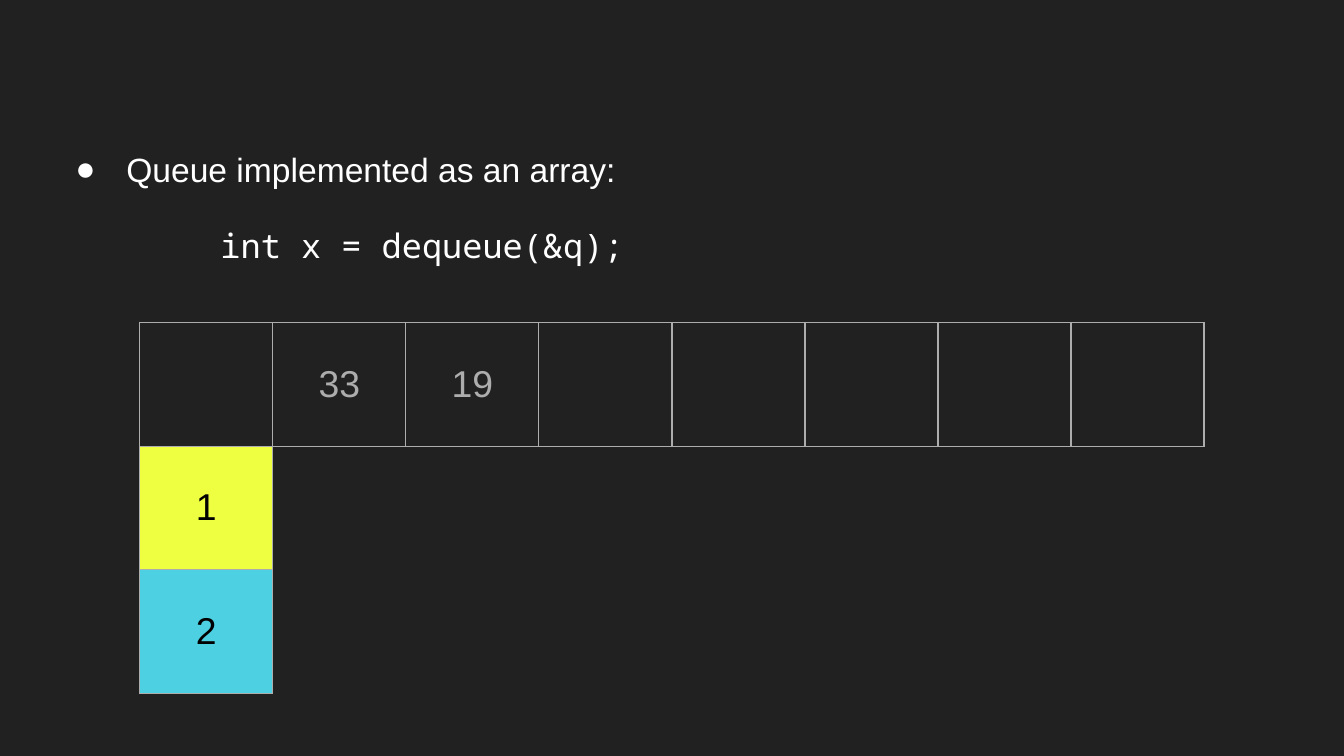
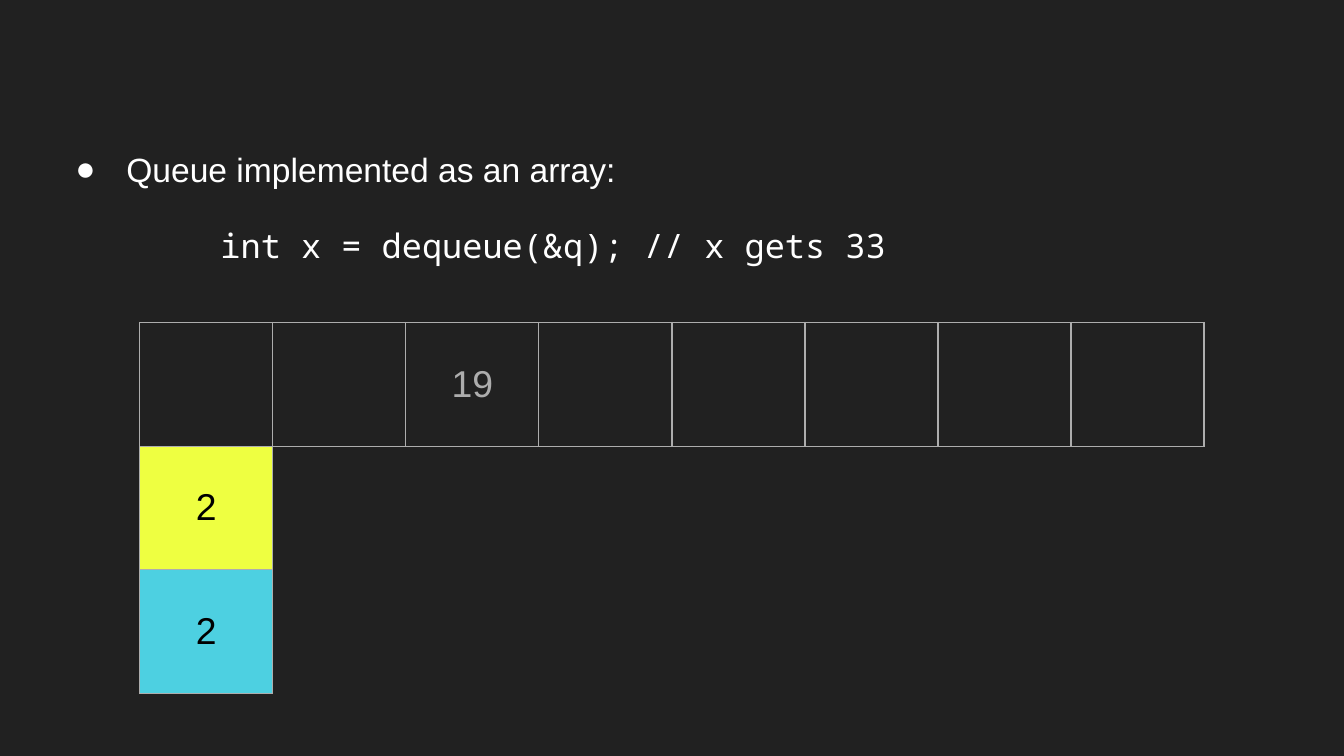
import pptx
import pptx.dml.color
import pptx.enum.text
import pptx.oxml.ns
import pptx.util
from lxml import etree

Inches, Pt = pptx.util.Inches, pptx.util.Pt

BACKGROUND, TEXT, GRID = "212121", "FFFFFF", "ADADAD"
FRONT_FILL, SIZE_FILL, COUNTER_TEXT = "EEFF41", "4DD0E1", "000000"
BODY_FONT, CODE_FONT = "Arial", "Noto Sans Mono"
HEADING = "Queue implemented as an array:"
CAPACITY = 8
STEPS = [
    {"code": "        int x = dequeue(&q);",
     "queue": {1: "33", 2: "19"}, "front": "1", "size": "2"},
    {"code": "        int x = dequeue(&q); // x gets 33",
     "queue": {2: "19"}, "front": "2", "size": "2"},
]


def rgb(value):
    return pptx.dml.color.RGBColor.from_string(value)


def add_xml(parent, tag, **attributes):
    return etree.SubElement(parent, pptx.oxml.ns.qn(tag), attributes)


def add_run(paragraph, text, font_name, size, color):
    run = paragraph.add_run()
    run.text = text
    run.font.name, run.font.size = font_name, Pt(size)
    run.font.color.rgb = rgb(color)


def set_margins(holder):
    holder.margin_left = holder.margin_right = Inches(0.1)
    holder.margin_top = holder.margin_bottom = Inches(0.1)


def set_indent(paragraph, left, first):
    properties = paragraph._p.get_or_add_pPr()
    properties.set("marL", str(Inches(left)))
    properties.set("indent", str(Inches(first)))
    return properties


def add_explanation(slide, code):
    body = slide.placeholders[1]
    body.left, body.top = Inches(0.34), Inches(0.96)
    body.width, body.height = Inches(9.32), Inches(3.53)
    frame = body.text_frame
    set_margins(frame)
    frame.word_wrap = True
    frame.auto_size = pptx.enum.text.MSO_AUTO_SIZE.NONE
    frame.vertical_anchor = pptx.enum.text.MSO_ANCHOR.TOP

    heading = frame.paragraphs[0]
    bullet = set_indent(heading, 0.5, -0.38)
    add_xml(add_xml(bullet, "a:buClr"), "a:srgbClr", val=TEXT)
    add_xml(bullet, "a:buFont", typeface=BODY_FONT)
    add_xml(bullet, "a:buChar", char="●")
    statement = frame.add_paragraph()
    add_xml(set_indent(statement, 0, 0), "a:buNone")

    for paragraph, text, font_name, before in (
        (heading, HEADING, BODY_FONT, 0),
        (statement, code, CODE_FONT, 16),
    ):
        paragraph.line_spacing = 1.15
        paragraph.space_before = Pt(before)
        add_run(paragraph, text, font_name, 18, TEXT)


def set_borders(cell, row, column):
    in_queue = row == 0 or column == 0
    visible = {
        "a:lnL": in_queue or column == 1,
        "a:lnR": in_queue,
        "a:lnT": in_queue or row == 1,
        "a:lnB": in_queue,
    }
    properties = cell._tc.get_or_add_tcPr()
    for side, shown in visible.items():
        line = add_xml(properties, side, w=str(Pt(0.75)))
        if shown:
            add_xml(add_xml(line, "a:solidFill"), "a:srgbClr", val=GRID)
        else:
            add_xml(line, "a:noFill")


def add_queue(slide, step):
    values = {(0, column): (text, GRID, None)
              for column, text in step["queue"].items()}
    values[1, 0] = (step["front"], COUNTER_TEXT, FRONT_FILL)
    values[2, 0] = (step["size"], COUNTER_TEXT, SIZE_FILL)

    cell_width, cell_height = 0.99, 0.92
    table = slide.shapes.add_table(
        3, CAPACITY, Inches(1.04), Inches(2.4),
        Inches(CAPACITY * cell_width), Inches(3 * cell_height)).table
    table.first_row = table.horz_banding = False
    for column in table.columns:
        column.width = Inches(cell_width)
    for row_index, row in enumerate(table.rows):
        row.height = Inches(cell_height)
        for column_index, cell in enumerate(row.cells):
            text, color, fill = values.get((row_index, column_index), ("", GRID, None))
            set_margins(cell)
            cell.vertical_anchor = pptx.enum.text.MSO_ANCHOR.MIDDLE
            set_borders(cell, row_index, column_index)
            if fill:
                cell.fill.solid()
                cell.fill.fore_color.rgb = rgb(fill)
            else:
                cell.fill.background()
            if text:
                paragraph = cell.text_frame.paragraphs[0]
                paragraph.alignment = pptx.enum.text.PP_ALIGN.CENTER
                add_run(paragraph, text, BODY_FONT, 20, color)


def main():
    deck = pptx.Presentation()
    deck.slide_width = Inches(10)
    deck.slide_height = deck.slide_width * 9 // 16
    background = deck.slide_master.background.fill
    background.solid()
    background.fore_color.rgb = rgb(BACKGROUND)
    for step in STEPS:
        slide = deck.slides.add_slide(deck.slide_layouts[1])
        title = slide.shapes.title.element
        title.getparent().remove(title)
        add_explanation(slide, step["code"])
        add_queue(slide, step)
    deck.save("out.pptx")


if __name__ == "__main__":
    main()
